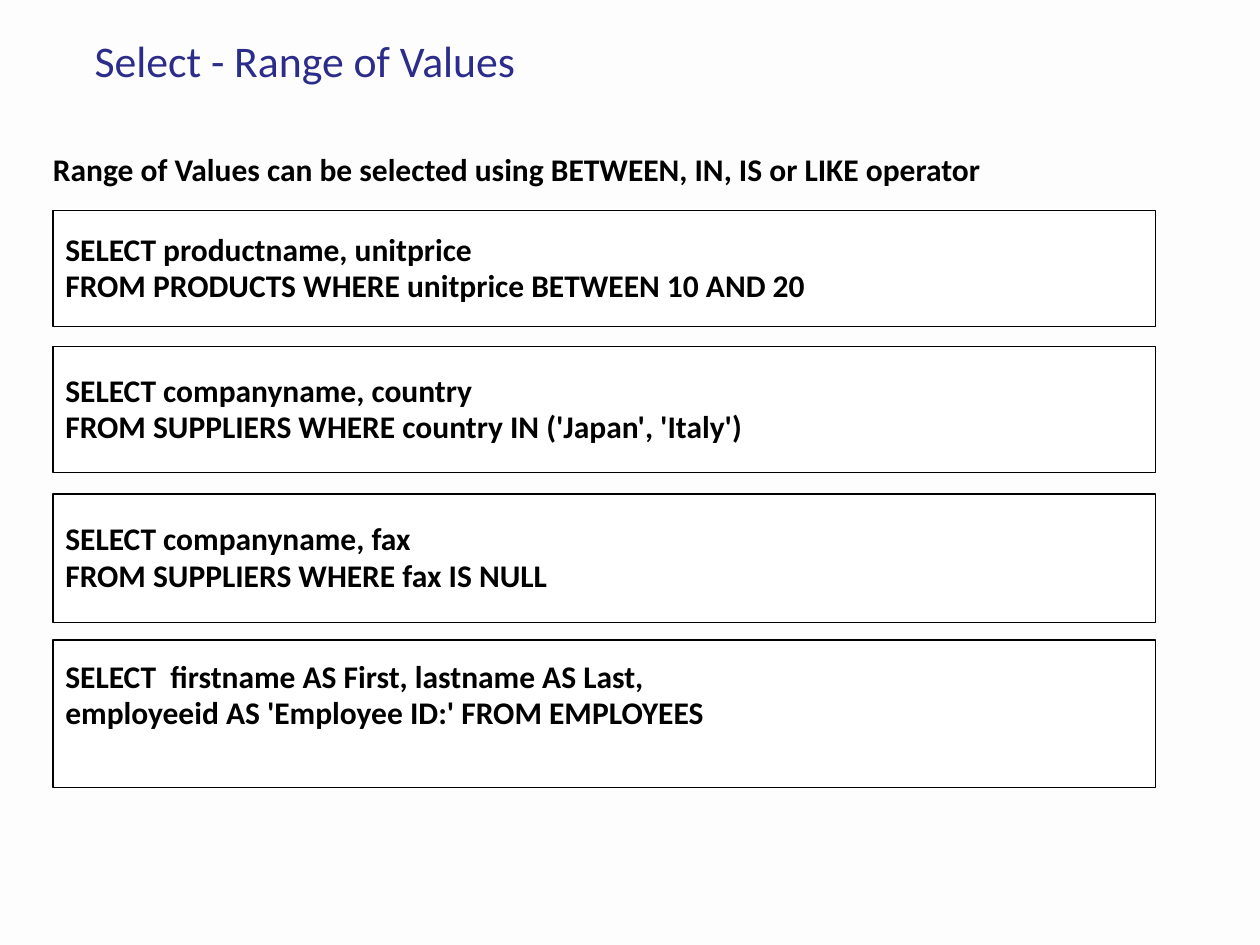
from pptx import Presentation
from pptx.dml.color import RGBColor
from pptx.enum import shapes, text
from pptx.util import Inches, Pt

BLACK = RGBColor(0, 0, 0)
WHITE = RGBColor(255, 255, 255)
NAVY = RGBColor(0x2C, 0x2D, 0x8B)
PAPER = RGBColor(0xFE, 0xFD, 0xFD)

TITLE = "Select - Range of Values"
INTRO = "Range of Values can be selected using BETWEEN, IN, IS or LIKE operator"
# top, height, bottom inset, lines
QUERIES = [
    (1.67, 0.92, 0.05, ["SELECT productname, unitprice",
                        "FROM PRODUCTS WHERE unitprice BETWEEN 10 AND 20"]),
    (2.75, 1.0, 0.05, ["SELECT companyname, country",
                       "FROM SUPPLIERS WHERE country IN ('Japan', 'Italy')"]),
    (3.92, 1.02, 0.05, ["SELECT companyname, fax",
                        "FROM SUPPLIERS WHERE fax IS NULL"]),
    (5.08, 1.17, 0.34, ["SELECT  firstname AS First, lastname AS Last,",
                        "employeeid AS 'Employee ID:' FROM EMPLOYEES"]),
]
LEFT, WIDTH = 0.42, 8.75
BODY = {"name": "Calibri", "size": Pt(18), "bold": True}
HEAD = {"name": "Calibri", "size": Pt(25), "bold": False}


def write(frame, lines, font, color, gap=1.0):
    frame.text = "\n".join(lines)
    for para in frame.paragraphs:
        para.alignment = text.PP_ALIGN.LEFT
        para.line_spacing = gap
        for key, value in font.items():
            setattr(para.runs[0].font, key, value)
        para.runs[0].font.color.rgb = color


def inset(frame, left, top, right, bottom):
    frame.margin_left, frame.margin_top = Inches(left), Inches(top)
    frame.margin_right, frame.margin_bottom = Inches(right), Inches(bottom)


def add_query(slide, top, height, bottom, lines):
    box = slide.shapes.add_shape(
        shapes.MSO_SHAPE.RECTANGLE,
        Inches(LEFT), Inches(top), Inches(WIDTH), Inches(height))
    box.shadow.inherit = False
    box.fill.solid()
    box.fill.fore_color.rgb = WHITE
    box.line.color.rgb = BLACK
    box.line.width = Pt(0.75)
    frame = box.text_frame
    frame.word_wrap = False
    frame.vertical_anchor = text.MSO_ANCHOR.MIDDLE
    inset(frame, 0.1, 0.05, 0.1, bottom)
    write(frame, lines, BODY, BLACK, 0.96)


def main():
    deck = Presentation()
    deck.slide_width, deck.slide_height = Inches(10), Inches(7.5)
    slide = deck.slides.add_slide(deck.slide_layouts.get_by_name("Title Only"))
    slide.background.fill.solid()
    slide.background.fill.fore_color.rgb = PAPER

    title = slide.shapes.title
    title.left, title.top = Inches(0.75), Inches(0.27)
    title.width, title.height = Inches(6.21), Inches(0.42)
    title.text_frame.vertical_anchor = text.MSO_ANCHOR.TOP
    inset(title.text_frame, 0, 0, 0, 0)
    write(title.text_frame, [TITLE], HEAD, NAVY)

    for query in QUERIES:
        add_query(slide, *query)

    intro = slide.shapes.add_textbox(
        Inches(0.27), Inches(1.14), Inches(9.02), Inches(0.4)).text_frame
    intro.word_wrap = True
    inset(intro, 0.15, 0.05, 0.1, 0.05)
    write(intro, [INTRO], BODY, BLACK)

    deck.save("out.pptx")


if __name__ == "__main__":
    main()
